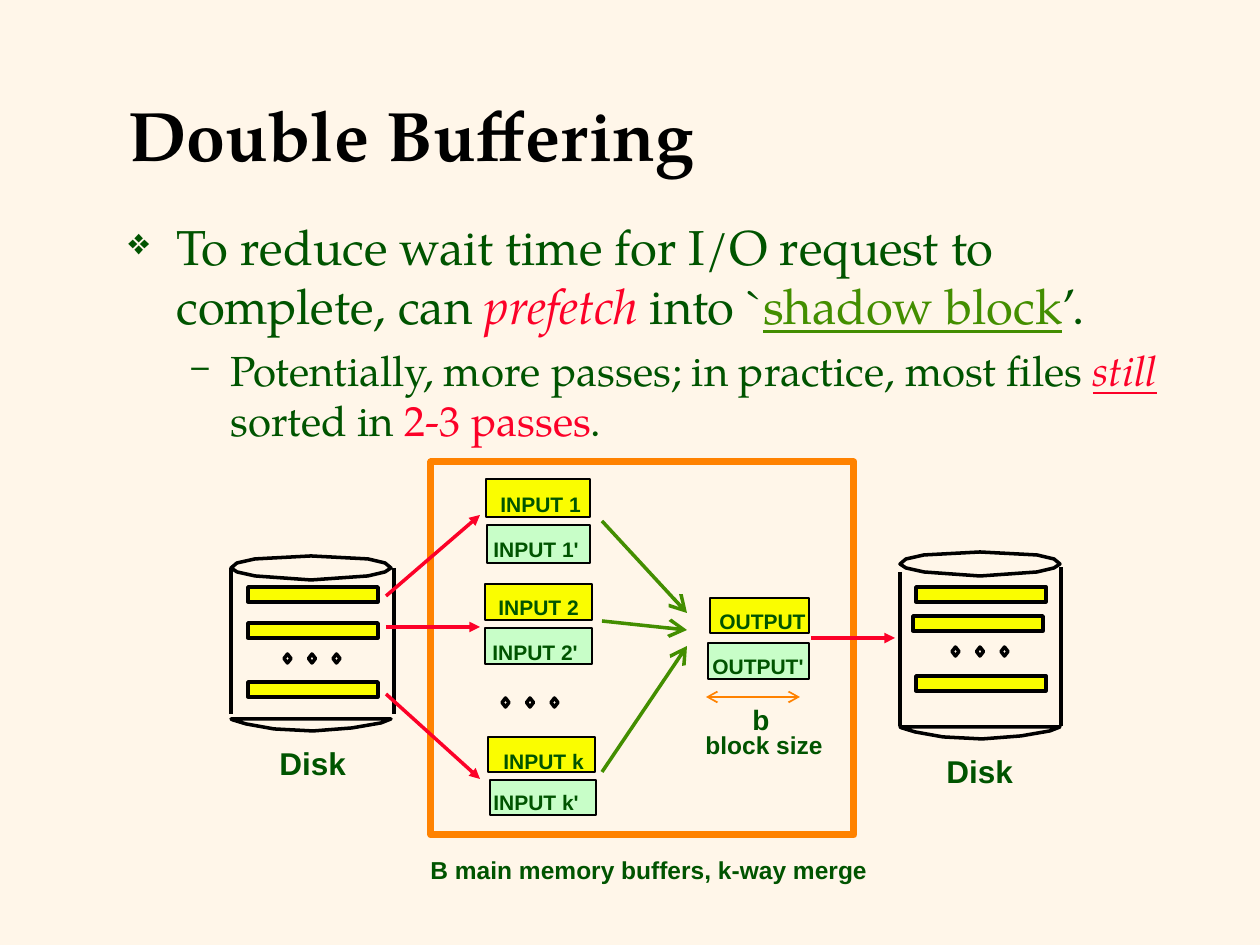
from lxml.etree import SubElement
from pptx import Presentation
from pptx.dml.color import RGBColor
from pptx.enum.shapes import MSO_CONNECTOR, MSO_SHAPE
from pptx.enum.text import MSO_ANCHOR
from pptx.oxml.ns import qn
from pptx.util import Pt

UNIT = 914400 / 126


class Theme:
    page, ink, text = "FFF6E9", "000000", "005400"
    red, green, orange = "FC0128", "438E00", "FF8200"
    main, shadow = "FAFD00", "C8FEC8"
    serif, sans = "TeX Gyre Pagella", "Arial"
    title, body, sub = 40, 28, 24
    disk, size, note, label = 18, 16, 14, 12
    thin, line, frame = 0.99, 2, 4


TITLE = "Double Buffering"
POINTS = [
    dict(size=Theme.body, mark="❖", left=48, hang=48, gap=7, runs=[
        ("To reduce wait time for I/O request to complete, can ", {}),
        ("prefetch", dict(color=Theme.red, italic=True)),
        (" into `", {}),
        ("shadow block", dict(color=Theme.green, under=True)),
        ("’.", {})]),
    dict(size=Theme.sub, mark="–", left=102, hang=39, gap=6, runs=[
        ("Potentially, more passes; in practice, most files ", {}),
        ("still", dict(color=Theme.red, italic=True, under=True)),
        (" sorted in ", {}),
        ("2-3 passes", dict(color=Theme.red)),
        (".", {})]),
]
BUFFERS = [
    ("INPUT 1", Theme.main, (486, 479, 104, 38), (488, 485, 106)),
    ("INPUT 1'", Theme.shadow, (487, 525, 103, 38), (481, 530, 111)),
    ("INPUT 2", Theme.main, (485, 584, 107, 36), (486, 588, 106)),
    ("INPUT 2'", Theme.shadow, (485, 628, 107, 36), (480, 633, 111)),
    ("INPUT k", Theme.main, (488, 737, 107, 35), (491, 742, 106)),
    ("INPUT k'", Theme.shadow, (490, 780, 106, 35), (481, 783, 111)),
    ("OUTPUT", Theme.main, (710, 598, 99, 35), (707, 602, 111)),
    ("OUTPUT'", Theme.shadow, (708, 643, 101, 36), (700, 647, 116)),
]
NOTES = [
    ("Disk", Theme.disk, (267, 738, 92, 50)),
    ("Disk", Theme.disk, (934, 746, 92, 50)),
    ("b", Theme.size, (740, 696, 42, 45)),
    ("block size", Theme.note, (693, 724, 142, 41)),
    ("B main memory buffers, k-way merge", Theme.note, (418, 849, 462, 41)),
]
DISKS = [
    dict(x=231, lid=556, base=719, sides=[(231, 568, 714), (394, 568, 714)],
         bars=[(248, 587), (248, 623), (248, 682)]),
    dict(x=900, lid=552, base=727, sides=[(900, 572, 726), (1061, 567, 726)],
         bars=[(916, 587), (913, 616), (916, 676)]),
]
LID = [(160, 12), (154, 7), (137, 3), (80, 0), (24, 3), (6, 7), (0, 12),
       (6, 16), (24, 20), (80, 24), (137, 20), (154, 16)]
BASE = [(0, 0), (2, 1), (15, 5), (43, 10), (82, 12), (121, 9), (150, 4), (160, 0)]
BAR = (130, 15)
DOTS = [(284, 654), (952, 647), (502, 698)]
FRAME = (431, 462, 423, 373)
READS = [(386, 596, 480, 515), (386, 627, 480, 627),
         (386, 694, 480, 779), (811, 638, 895, 638)]
MERGES = [(602, 772, 687, 646), (602, 521, 687, 613), (602, 621, 687, 630)]
WIDTH = (706, 697, 800, 697)

deck = Presentation()
deck.slide_width, deck.slide_height = int(1260 * UNIT), int(945 * UNIT)
slide = deck.slides.add_slide(deck.slide_layouts[6])
shapes = slide.shapes


def emu(*vals):
    return [round(val * UNIT) for val in vals]


def rgb(code):
    return RGBColor.from_string(code)


def write(para, text, size=Theme.label, font=Theme.sans, color=Theme.text,
          bold=False, italic=False, under=False):
    run = para.add_run()
    run.text = text
    face = run.font
    face.size, face.name = Pt(size), font
    face.bold, face.italic, face.underline = bold, italic, under
    face.color.rgb = rgb(color)


def box(rect, wrap=False):
    frame = shapes.add_textbox(*emu(*rect)).text_frame
    frame.word_wrap = wrap
    return frame


def label(text, rect, size):
    frame = box(rect)
    frame.margin_right = 0
    write(frame.paragraphs[0], text, size=size, bold=True)


def style(shape, fill=None, color=Theme.ink, width=Theme.line):
    shape.shadow.inherit = False
    if fill:
        shape.fill.solid()
        shape.fill.fore_color.rgb = rgb(fill)
    else:
        shape.fill.background()
    shape.line.color.rgb = rgb(color)
    shape.line.width = Pt(width)


def block(kind, rect, **look):
    style(shapes.add_shape(kind, *emu(*rect)), **look)


def trace(points, left, top):
    spots = [(left + x, top + y) for x, y in points]
    pen = shapes.build_freeform(*spots[0], scale=UNIT)
    pen.add_line_segments(spots[1:], close=True)
    style(pen.convert_to_shape())


def link(ends, color=Theme.ink, width=Theme.line, heads=(), kind="arrow", size="lg"):
    wire = shapes.add_connector(MSO_CONNECTOR.STRAIGHT, *emu(*ends))
    wire.line.color.rgb = rgb(color)
    wire.line.width = Pt(width)
    for head in heads:
        SubElement(wire.line._get_or_add_ln(), qn("a:" + head),
                   type=kind, w=size, len=size)
    SubElement(wire._element.spPr, qn("a:effectLst"))


def bullet(para, mark, left, hang, gap):
    para.space_before = Pt(gap)
    props = para._p.get_or_add_pPr()
    props.set("marL", str(emu(left)[0]))
    props.set("indent", str(-emu(hang)[0]))
    tint = SubElement(props, qn("a:buClr"))
    SubElement(tint, qn("a:srgbClr"), val=Theme.text)
    SubElement(props, qn("a:buSzPct"), val="75000")
    SubElement(props, qn("a:buChar"), char=mark)


back = slide.background.fill
back.solid()
back.fore_color.rgb = rgb(Theme.page)

head = box((116, 58, 1071, 152), wrap=True)
head.vertical_anchor = MSO_ANCHOR.MIDDLE
write(head.paragraphs[0], TITLE, size=Theme.title, font=Theme.serif,
      color=Theme.ink, bold=True)

body = box((116, 210, 1071, 562), wrap=True)
for num, point in enumerate(POINTS):
    para = body.add_paragraph() if num else body.paragraphs[0]
    bullet(para, point["mark"], point["left"], point["hang"], point["gap"])
    for text, look in point["runs"]:
        write(para, text, size=point["size"], font=Theme.serif, **look)

block(MSO_SHAPE.RECTANGLE, FRAME, color=Theme.orange, width=Theme.frame)

for disk in DISKS:
    trace(LID, disk["x"], disk["lid"])
    trace(BASE, disk["x"], disk["base"])
    for x, top, low in disk["sides"]:
        link((x, top, x, low))
    for spot in disk["bars"]:
        block(MSO_SHAPE.RECTANGLE, spot + BAR, fill=Theme.main)

for left, top in DOTS:
    for step in range(3):
        block(MSO_SHAPE.DIAMOND, (left + step * 24.5, top, 7, 9))

for text, fill, rect, spot in BUFFERS:
    block(MSO_SHAPE.RECTANGLE, rect, fill=fill, width=Theme.thin)
    label(text, spot + (38,), Theme.label)

for text, size, rect in NOTES:
    label(text, rect, size)

for ends in MERGES:
    link(ends, color=Theme.green, heads=["tailEnd"])
link(WIDTH, color=Theme.orange, width=Theme.thin, heads=["headEnd", "tailEnd"],
     size="med")
for ends in READS:
    link(ends, color=Theme.red, heads=["tailEnd"], kind="triangle", size="med")

deck.save("out.pptx")
